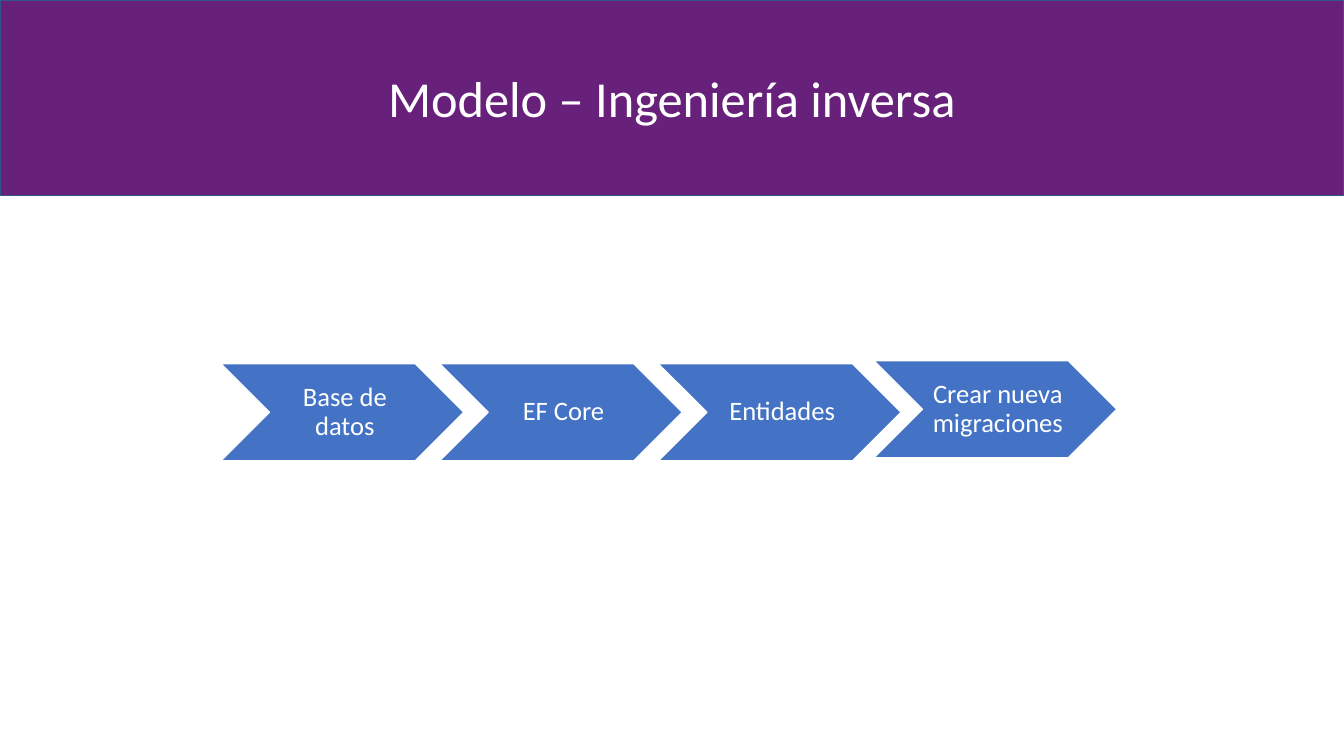
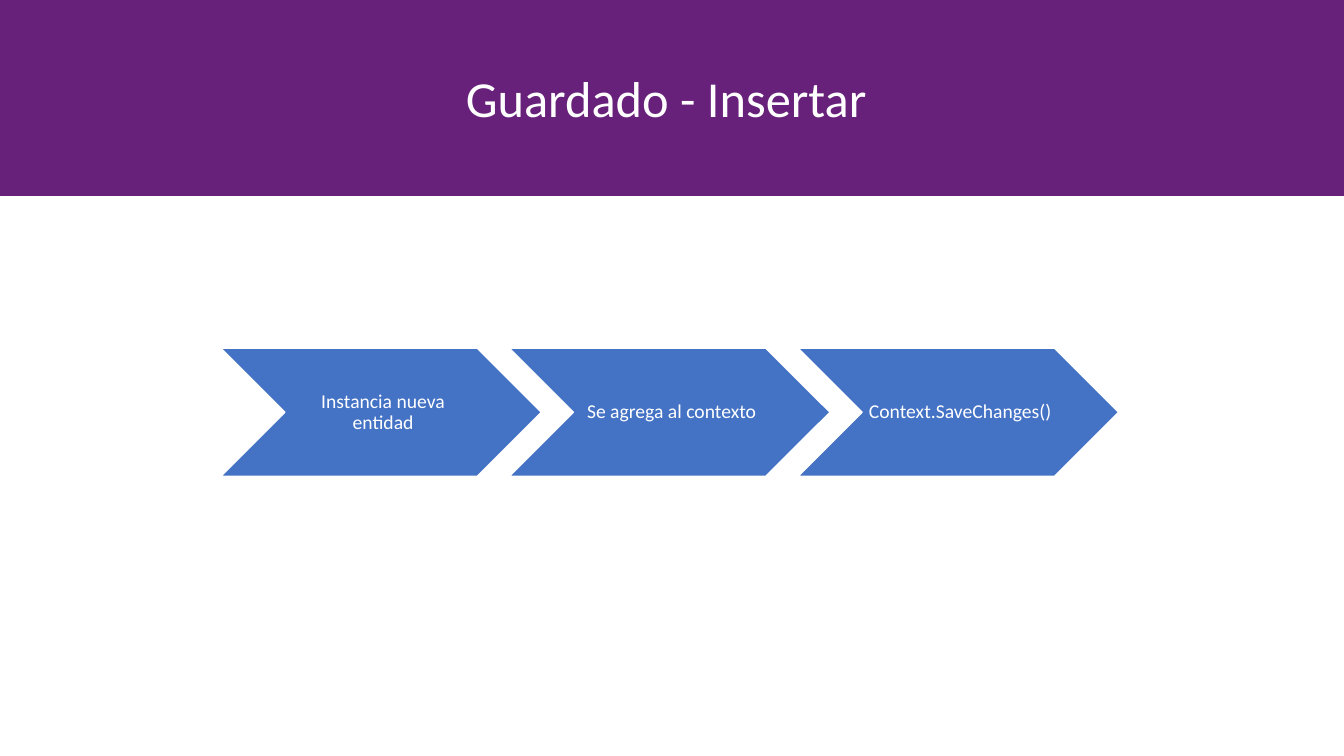
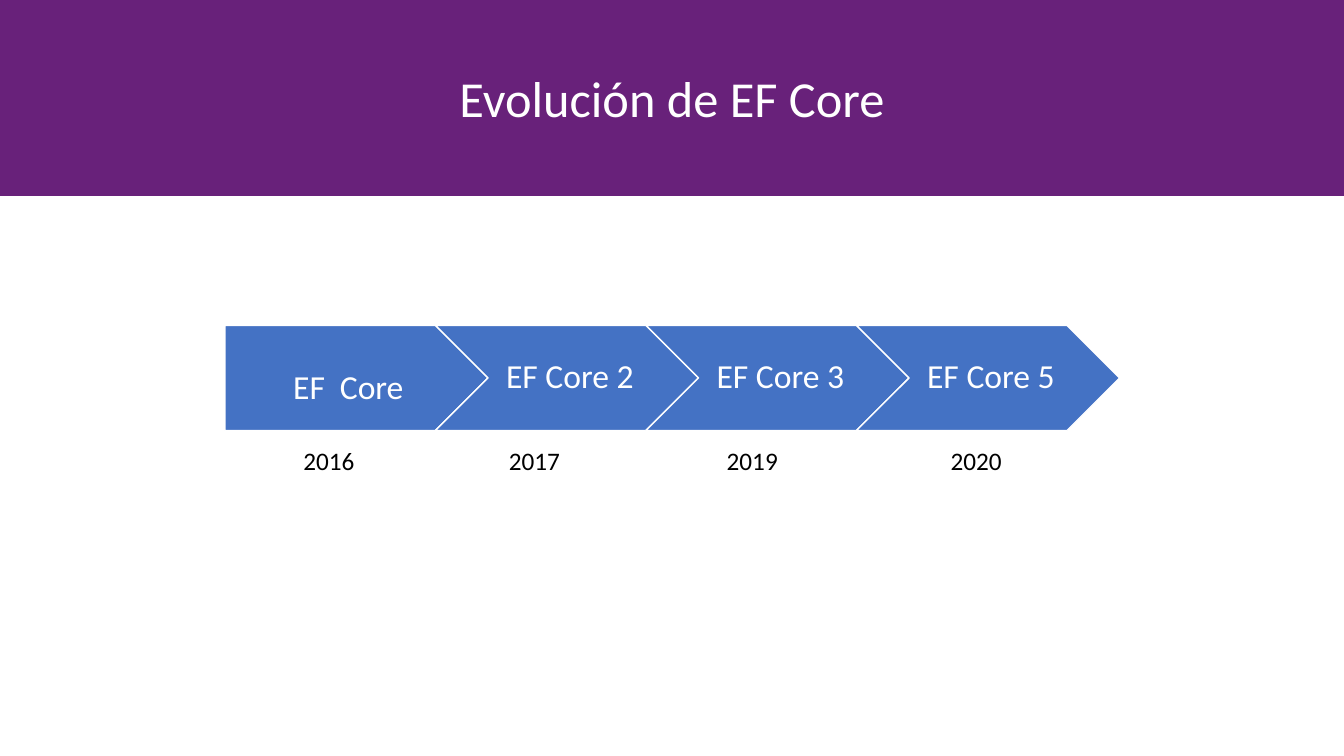
from pptx import Presentation
from pptx.dml.color import RGBColor
from pptx.enum.shapes import MSO_SHAPE
from pptx.enum.text import MSO_ANCHOR, PP_ALIGN
from pptx.util import Inches, Pt

RECTANGLE, CHEVRON, PENTAGON = MSO_SHAPE.RECTANGLE, MSO_SHAPE.CHEVRON, MSO_SHAPE.PENTAGON
TOP, MIDDLE = MSO_ANCHOR.TOP, MSO_ANCHOR.MIDDLE
LEFT, CENTER = PP_ALIGN.LEFT, PP_ALIGN.CENTER

SLIDE_WIDTH, SLIDE_HEIGHT = 13.33, 7.5
BAND_HEIGHT = 1.94
FONT = "Calibri"
PURPLE, BLUE, WHITE, BLACK = "68217A", "4472C4", "FFFFFF", "000000"
BAND_EDGE = "325491"
STEP_ASPECT = 0.4  # height of a step as a share of its width
DEFAULT_INSETS = (0.1, 0.05, 0.1, 0.05)


def color(hex_text):
    return RGBColor.from_string(hex_text)


def write_text(shape, text, *, size, font_color=WHITE, align=CENTER, anchor=MIDDLE,
               insets=DEFAULT_INSETS, line_spacing=1.0):
    """Fill a shape with a string, or with a list of (string, size) runs."""
    frame = shape.text_frame
    frame.word_wrap = True
    frame.vertical_anchor = anchor
    (frame.margin_left, frame.margin_top,
     frame.margin_right, frame.margin_bottom) = map(Inches, insets)
    paragraph = frame.paragraphs[0]
    paragraph.alignment = align
    paragraph.line_spacing = line_spacing
    runs = [(text, size)] if isinstance(text, str) else text
    for run_text, run_size in runs:
        run = paragraph.add_run()
        run.text = run_text
        run.font.name = FONT
        run.font.size = Pt(run_size)
        run.font.color.rgb = color(font_color)


def add_filled_shape(slide, preset, left, top, width, height, *, fill, line):
    shape = slide.shapes.add_shape(preset, *map(Inches, (left, top, width, height)))
    shape.shadow.inherit = False
    shape.fill.solid()
    shape.fill.fore_color.rgb = color(fill)
    shape.line.color.rgb = color(line)
    shape.line.width = Pt(1)
    return shape


def add_titled_slide(presentation, title, edge=PURPLE):
    slide = presentation.slides.add_slide(presentation.slide_layouts[6])
    band = add_filled_shape(slide, RECTANGLE, 0, 0, SLIDE_WIDTH, BAND_HEIGHT,
                            fill=PURPLE, line=edge)
    write_text(band, title, size=36)
    return slide


def add_process(slide, labels, *, left, middle, width, pitch, size, insets,
                first_preset=CHEVRON):
    """Draw a row of arrow steps; pitch is a share of the step width."""
    height = width * STEP_ASPECT
    steps = []
    for index, label in enumerate(labels):
        step = add_filled_shape(slide, CHEVRON if index else first_preset,
                                left + index * width * pitch, middle - height / 2,
                                width, height, fill=BLUE, line=WHITE)
        write_text(step, label, size=size, insets=insets, line_spacing=0.9)
        steps.append(step)
    return steps


def add_year(slide, year, left):
    box = slide.shapes.add_textbox(*map(Inches, (left, 4.37, 1.47, 0.71)))
    write_text(box, year, size=18, font_color=BLACK, align=LEFT, anchor=TOP)


def build_reverse_engineering(presentation):
    slide = add_titled_slide(presentation, "Modelo – Ingeniería inversa", BAND_EDGE)
    labels = ["Base de datos", "EF Core", "Entidades", "Crear nueva migraciones"]
    steps = add_process(slide, labels, left=2.19, middle=4.09, width=2.41, pitch=0.9,
                        size=19, insets=(0.08, 0.03, 0.03, 0.03))
    migrations = steps[-1]
    migrations.left -= Inches(0.03)
    migrations.top -= Inches(0.03)


def build_insert(presentation):
    slide = add_titled_slide(presentation, "Guardado - Insertar ")
    labels = ["Instancia nueva entidad", "Se agrega al contexto", "Context.SaveChanges()"]
    add_process(slide, labels, left=2.19, middle=4.09, width=3.18, pitch=0.9,
                size=14, insets=(0.06, 0.02, 0.02, 0.02))


def build_evolution(presentation):
    slide = add_titled_slide(presentation, "Evolución de EF Core")
    first_label = [("EF", 24), (" ", 47), ("Core", 24)]
    labels = [first_label, "EF Core 2", "EF Core 3", "EF Core 5"]
    steps = add_process(slide, labels, left=2.23, middle=3.75, width=2.61, pitch=0.8,
                        size=24, insets=(0.1, 0.07, 0.04, 0.07), first_preset=PENTAGON)
    steps[0].text_frame.margin_left = Inches(0.14)
    for year, left in (("2016", 2.91), ("2017", 4.95), ("2019", 7.11), ("2020", 9.33)):
        add_year(slide, year, left)


def main():
    presentation = Presentation()
    presentation.slide_width = Inches(SLIDE_WIDTH)
    presentation.slide_height = Inches(SLIDE_HEIGHT)
    build_reverse_engineering(presentation)
    build_insert(presentation)
    build_evolution(presentation)
    presentation.save("out.pptx")


if __name__ == "__main__":
    main()
